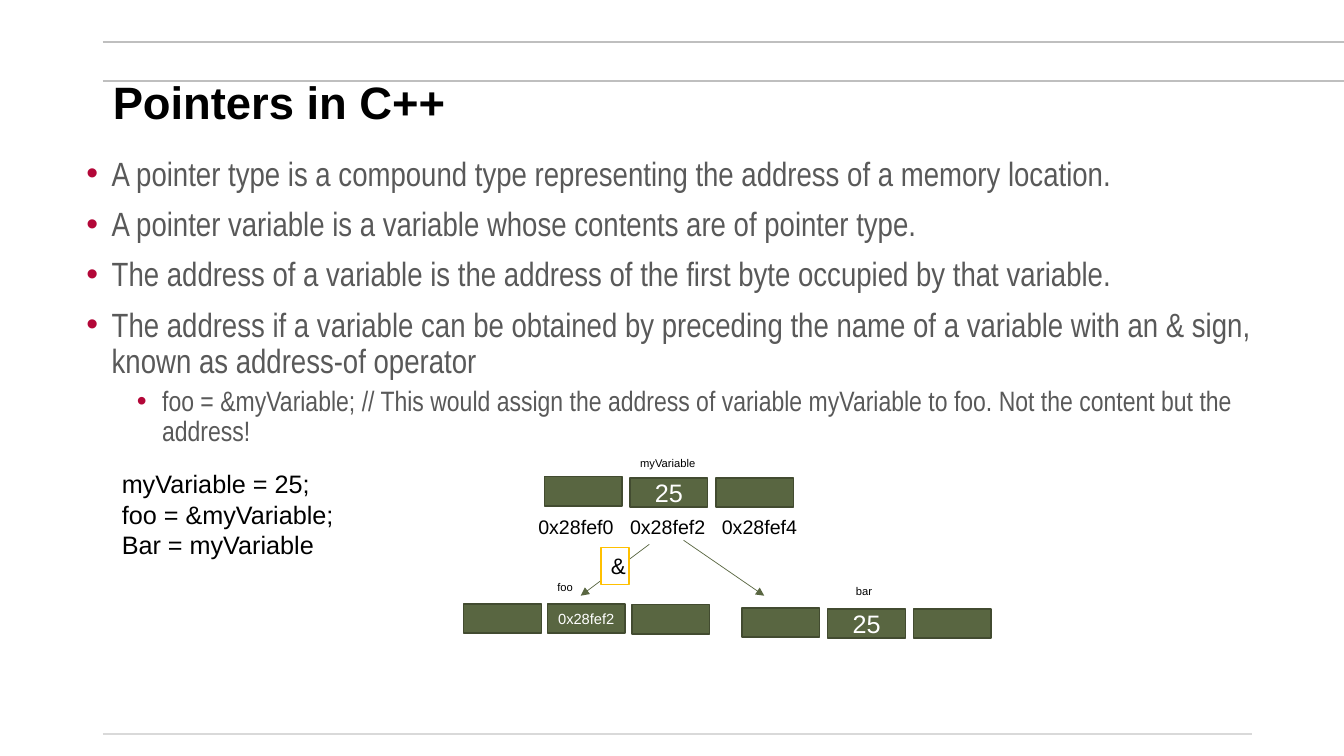
from lxml import etree
from pptx import Presentation
from pptx import util as u
from pptx.dml.color import RGBColor
from pptx.enum import shapes, text
from pptx.oxml.ns import qn

PX = 9144  # EMU in one px, 100 px to the inch
THEME = {
    "sans": "Arial", "narrow": "Arial Narrow",
    "black": "000000", "white": "FFFFFF", "grey": "595959", "bullet": "B30738",
    "rule": "BFBFBF", "footer": "D9D9D9",
    "cell": "596641", "edge": "424B30", "amber": "FFC000",
    "title": 32.4, "body": 24, "sub": 20, "code": 18, "sign": 16,
    "address": 14, "pointer": 10.5, "label": 8,
}

deck = Presentation()
deck.slide_width, deck.slide_height = 1333 * PX, 750 * PX
page = deck.slides.add_slide(deck.slide_layouts[6])


def write(shape, lines, size, color="black", font="sans", bold=False,
          anchor=text.MSO_ANCHOR.TOP, **format_values):
    """Fill a shape with one paragraph per line and return the paragraphs."""
    frame = shape.text_frame
    frame.word_wrap, frame.vertical_anchor = True, anchor
    frame.text = "\n".join(lines)
    format_values = {"alignment": text.PP_ALIGN.LEFT, **format_values}
    for para in frame.paragraphs:
        for name, value in format_values.items():
            setattr(para, name, value)
        for span in para.runs:
            span.font.name, span.font.size = THEME[font], u.Pt(THEME[size])
            span.font.bold = bold
            span.font.color.rgb = RGBColor.from_string(THEME[color])
    return frame.paragraphs


def add_line(x1, y1, x2, y2, color, width):
    """Draw a straight line without a shadow and return it."""
    line = page.shapes.add_connector(
        shapes.MSO_CONNECTOR.STRAIGHT, x1 * PX, y1 * PX, x2 * PX, y2 * PX)
    line.line.color.rgb = RGBColor.from_string(THEME[color])
    line.line.width = u.Pt(width)
    etree.SubElement(line._element.spPr, qn("a:effectLst"))
    return line


# Page rules
for y, right, color in [(80, 1333, "rule"), (42, 1333, "rule"), (728, 1242, "footer")]:
    add_line(102, y, right, y, color, 1.5)

# Title
box = page.shapes.add_textbox(102 * PX, 84 * PX, 1139 * PX, 39 * PX)
write(box, ["Pointers in C++"], "title", bold=True,
      anchor=text.MSO_ANCHOR.MIDDLE, line_spacing=0.9)

# Bullets: the last one is a level down
bullets = [
    "A pointer type is a compound type representing the address of a memory location.",
    "A pointer variable is a variable whose contents are of pointer type.",
    "The address of a variable is the address of the first byte occupied by that variable.",
    "The address if a variable can be obtained by preceding the name of a variable "
    "with an & sign, known as address-of operator",
    "foo = &myVariable; // This would assign the address of variable myVariable to foo. "
    "Not the content but the address!",
]
box = page.shapes.add_textbox(76 * PX, 151 * PX, 1190 * PX, 534 * PX)
paras = write(box, bullets, "body", "grey", "narrow", line_spacing=0.9, space_before=u.Pt(10))
paras[-1].level = 1
paras[-1].space_before = u.Pt(5)
paras[-1].runs[0].font.size = u.Pt(THEME["sub"])
for para in paras:
    props = para._p.get_or_add_pPr()
    props.set("marL", str((25 + 50 * para.level) * PX))
    props.set("indent", str(-25 * PX))
    bullet_color = etree.SubElement(props, qn("a:buClr"))
    etree.SubElement(bullet_color, qn("a:srgbClr"), val=THEME["bullet"])
    etree.SubElement(props, qn("a:buFont"), typeface=THEME["sans"])
    etree.SubElement(props, qn("a:buChar"), char="•")

# Code
box = page.shapes.add_textbox(111 * PX, 460 * PX, 234 * PX, 131 * PX)
write(box, ["myVariable = 25;", "foo = &myVariable;", "Bar = myVariable"], "code")

# Arrows from the variable to its pointer and its copy
for ends in [(644, 540, 576, 591), (678, 536, 758, 591)]:
    arrow = add_line(*ends, "cell", 0.5)
    etree.SubElement(arrow.line._get_or_add_ln(), qn("a:tailEnd"), type="triangle")

# Memory cells: three in a row, the middle one holds the value
memory = [
    # cell positions, value, value size, name, name position
    ([(540, 473), (625, 474), (710, 474)], "25", "code", "myVariable", (625, 448)),
    ([(460, 599), (543, 599), (627, 600)], "0x28fef2", "pointer", "foo", (543, 571)),
    ([(736, 603), (821, 604), (906, 604)], "25", "code", "bar", (839, 575)),
]
for cells, value, size, name, (name_x, name_y) in memory:
    for column, (x, y) in enumerate(cells):
        cell = page.shapes.add_shape(
            shapes.MSO_SHAPE.RECTANGLE, x * PX, y * PX, 77 * PX, 29 * PX)
        cell.shadow.inherit = False
        cell.fill.solid()
        cell.fill.fore_color.rgb = RGBColor.from_string(THEME["cell"])
        cell.line.color.rgb = RGBColor.from_string(THEME["edge"])
        cell.line.width = u.Pt(1)
        if column == 1:
            write(cell, [value], size, "white", anchor=text.MSO_ANCHOR.MIDDLE,
                  alignment=text.PP_ALIGN.CENTER)
    box = page.shapes.add_textbox(name_x * PX, name_y * PX, 77 * PX, 24 * PX)
    write(box, [name], "label")

# Addresses, lined up with tab stops
box = page.shapes.add_textbox(524 * PX, 506 * PX, 338 * PX, 34 * PX)
para = write(box, ["0x28fef0\t0x28fef2\t0x28fef4"], "address")[0]
stops = etree.SubElement(para._p.get_or_add_pPr(), qn("a:tabLst"))
for column in (1, 2):
    etree.SubElement(stops, qn("a:tab"), pos=str(91 * column * PX), algn="l")

# Address-of sign on the left arrow
sign = page.shapes.add_shape(
    shapes.MSO_SHAPE.RECTANGLE, 596 * PX, 543 * PX, 28 * PX, 37 * PX)
sign.shadow.inherit = False
sign.fill.solid()
sign.fill.fore_color.rgb = RGBColor.from_string(THEME["white"])
sign.line.color.rgb = RGBColor.from_string(THEME["amber"])
sign.line.width = u.Pt(1)
write(sign, ["&"], "sign")

deck.save("out.pptx")
